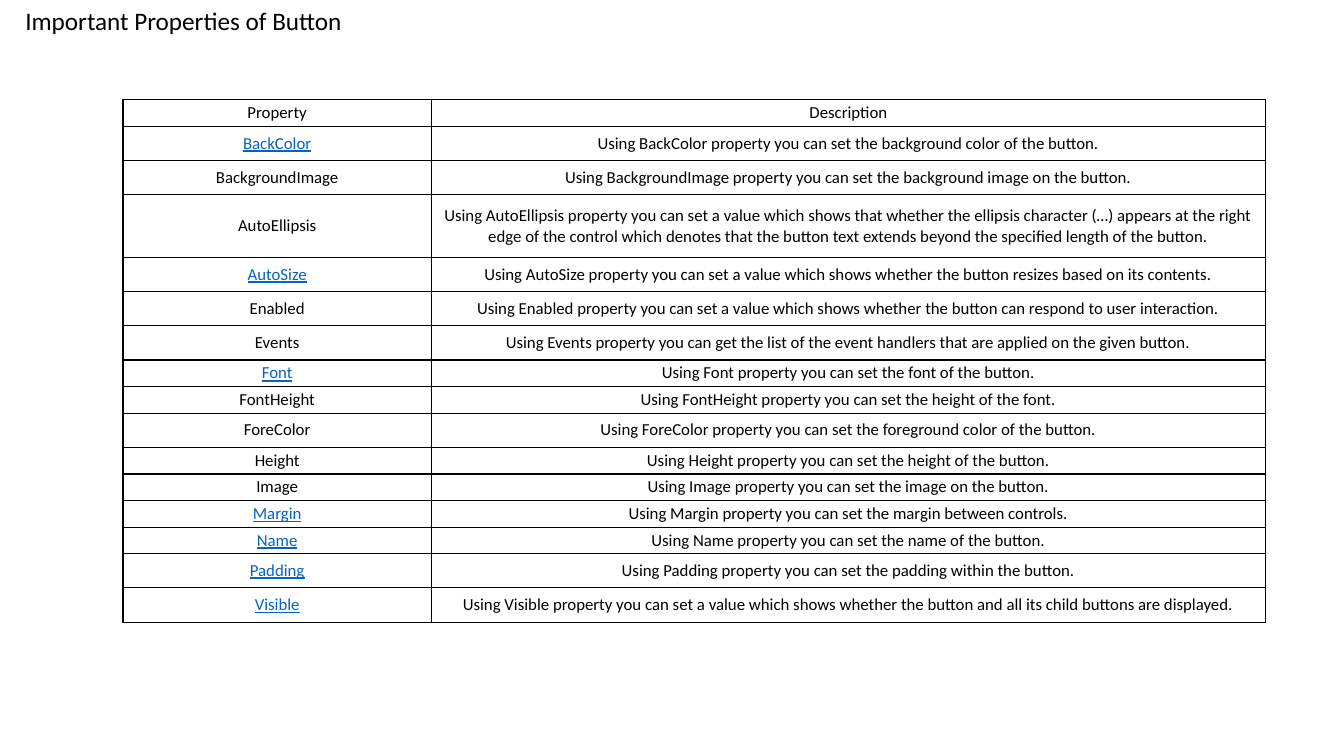
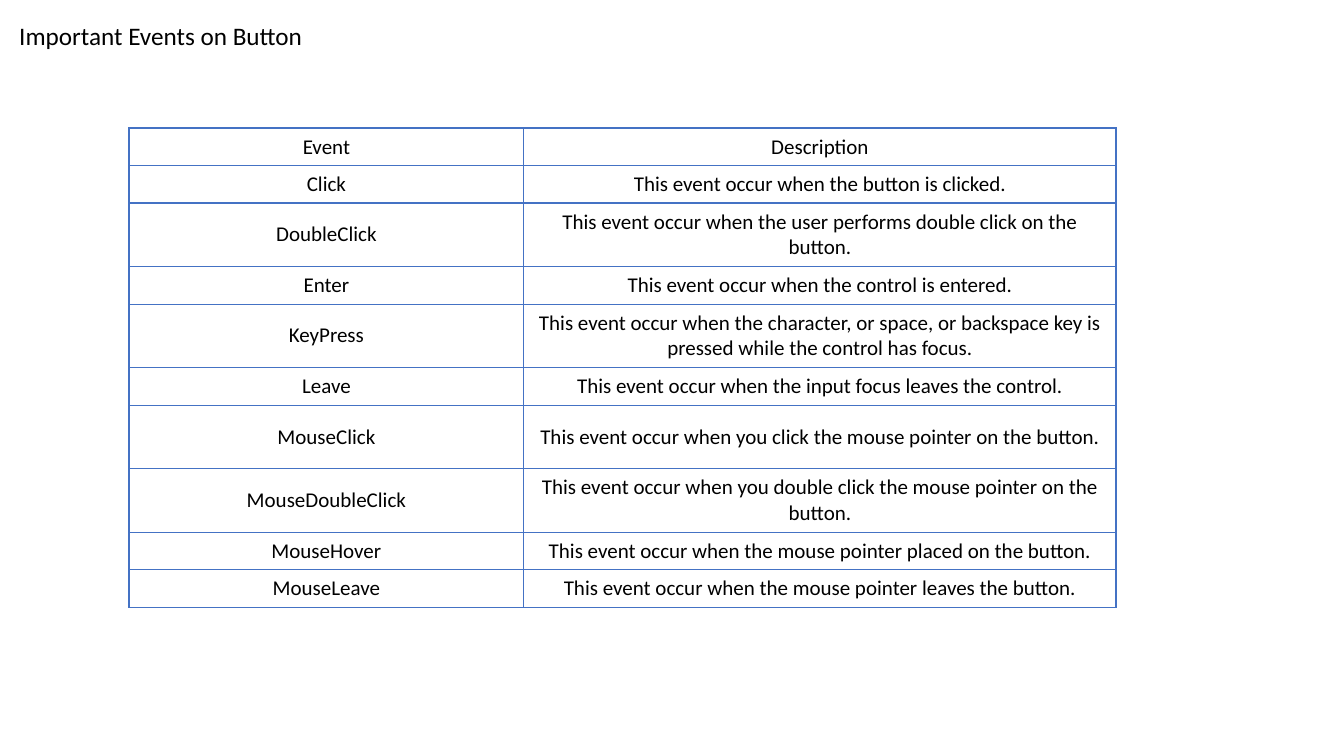
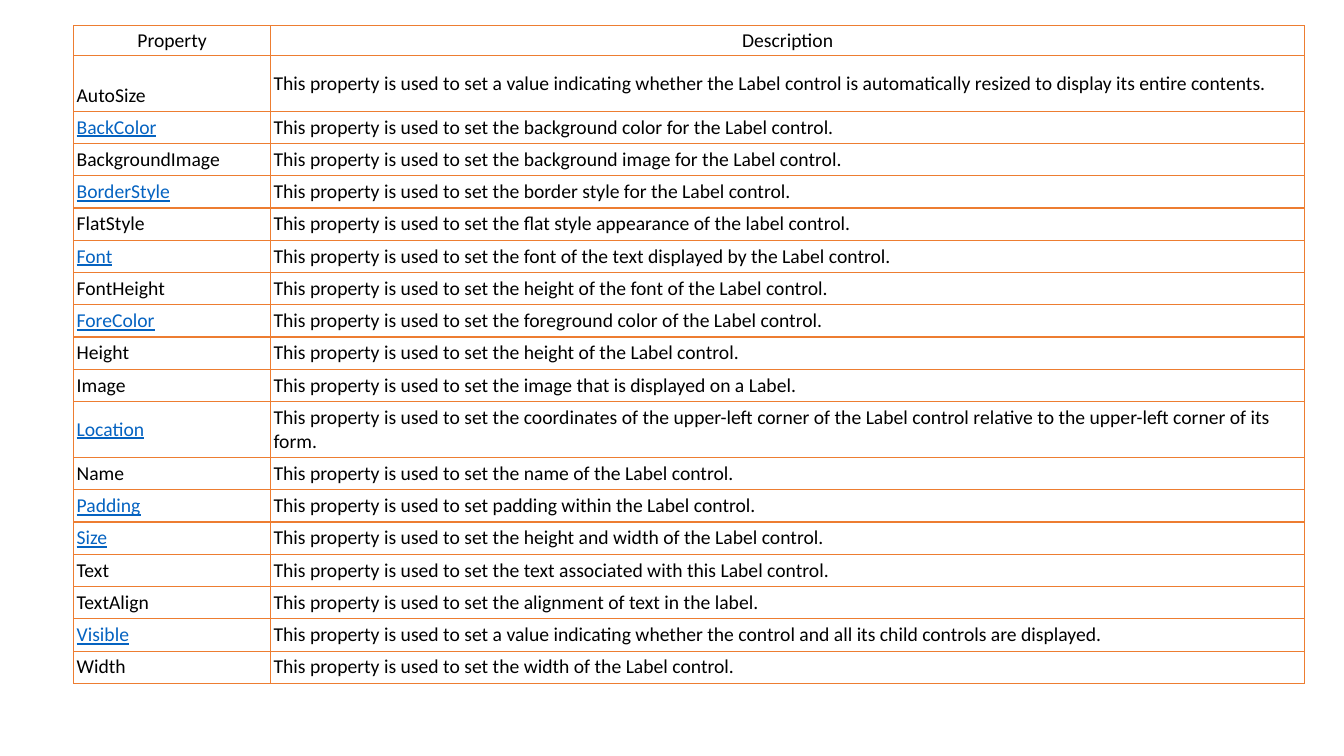
from lxml.etree import SubElement
from pptx import Presentation
from pptx.dml.color import RGBColor
from pptx.enum.text import MSO_ANCHOR, MSO_AUTO_SIZE, PP_ALIGN
from pptx.oxml.ns import qn
from pptx.util import Inches, Pt

# Shared look
WIDE, HIGH = Inches(13.33), Inches(7.5)
FONT = "Calibri"
BLACK = RGBColor(0x00, 0x00, 0x00)
BLUE = RGBColor(0x44, 0x72, 0xC4)
ORANGE = RGBColor(0xED, 0x7D, 0x31)
LINK = RGBColor(0x05, 0x63, 0xC1)

# Button properties: name and the end of its description
BUTTON_LEAD = "Using {} property you can "
BUTTON = [
    ("BackColor", "set the background color of the button."),
    ("BackgroundImage", "set the background image on the button."),
    ("AutoEllipsis", "set a value which shows that whether the ellipsis character (…) "
     "appears at the right edge of the control which denotes that the button text "
     "extends beyond the specified length of the button."),
    ("AutoSize", "set a value which shows whether the button resizes based on its contents."),
    ("Enabled", "set a value which shows whether the button can respond to user interaction."),
    ("Events", "get the list of the event handlers that are applied on the given button."),
    ("Font", "set the font of the button."),
    ("FontHeight", "set the height of the font."),
    ("ForeColor", "set the foreground color of the button."),
    ("Height", "set the height of the button."),
    ("Image", "set the image on the button."),
    ("Margin", "set the margin between controls."),
    ("Name", "set the name of the button."),
    ("Padding", "set the padding within the button."),
    ("Visible", "set a value which shows whether the button and all its child buttons "
     "are displayed."),
]
BUTTON_LINKS = {"BackColor", "AutoSize", "Font", "Margin", "Name", "Padding", "Visible"}

# Button events
EVENT_LEAD = "This event occur when "
EVENTS = [
    ("Click", "the button is clicked."),
    ("DoubleClick", "the user performs double click on the button."),
    ("Enter", "the control is entered."),
    ("KeyPress", "the character, or space, or backspace key is pressed while the "
     "control has focus."),
    ("Leave", "the input focus leaves the control."),
    ("MouseClick", "you click the mouse pointer on the button."),
    ("MouseDoubleClick", "you double click the mouse pointer on the button."),
    ("MouseHover", "the mouse pointer placed on the button."),
    ("MouseLeave", "the mouse pointer leaves the button."),
]

# Label properties
LABEL_LEAD = "This property is used to set "
LABEL = [
    ("AutoSize", "a value indicating whether the Label control is automatically "
     "resized to display its entire contents."),
    ("BackColor", "the background color for the Label control."),
    ("BackgroundImage", "the background image for the Label control."),
    ("BorderStyle", "the border style for the Label control."),
    ("FlatStyle", "the flat style appearance of the label control."),
    ("Font", "the font of the text displayed by the Label control."),
    ("FontHeight", "the height of the font of the Label control."),
    ("ForeColor", "the foreground color of the Label control."),
    ("Height", "the height of the Label control."),
    ("Image", "the image that is displayed on a Label."),
    ("Location", "the coordinates of the upper-left corner of the Label control "
     "relative to the upper-left corner of its form."),
    ("Name", "the name of the Label control."),
    ("Padding", "padding within the Label control."),
    ("Size", "the height and width of the Label control."),
    ("Text", "the text associated with this Label control."),
    ("TextAlign", "the alignment of text in the label."),
    ("Visible", "a value indicating whether the control and all its child controls "
     "are displayed."),
    ("Width", "the width of the Label control."),
]
LABEL_LINKS = {"BackColor", "BorderStyle", "Font", "ForeColor", "Location", "Padding",
               "Size", "Visible"}


def across(share):
    """Percent of the slide's width."""
    return round(WIDE * share / 100)


def down(share):
    """Percent of the slide's height."""
    return round(HIGH * share / 100)


def write(frame, text, size=12, color=BLACK, line=False, align=PP_ALIGN.LEFT):
    para = frame.paragraphs[0]
    para.alignment = align
    run = para.add_run()
    run.text = text
    font = run.font
    font.name, font.size, font.underline = FONT, Pt(size), line
    font.color.rgb = color


def border(cell, color):
    props = cell._tc.get_or_add_tcPr()
    for side in ("a:lnL", "a:lnR", "a:lnT", "a:lnB"):
        edge = SubElement(props, qn(side), w=str(Pt(1)))
        fill = SubElement(edge, qn("a:solidFill"))
        SubElement(fill, qn("a:srgbClr"), val=str(color))


def pad(cell, side, ends):
    cell.margin_left = cell.margin_right = Inches(side)
    cell.margin_top = cell.margin_bottom = Inches(ends)


def head(slide, text, left, top, width):
    """Slide title, as one line in the top left corner."""
    title = slide.shapes.title
    title.left, title.top = across(left), down(top)
    title.width, title.height = across(width), down(5.33)
    frame = title.text_frame
    frame.word_wrap = False
    frame.auto_size = MSO_AUTO_SIZE.SHAPE_TO_FIT_TEXT
    frame.vertical_anchor = MSO_ANCHOR.TOP
    write(frame, text, size=18)


def grid(slide, box, first, names, lead, items, sizes, plan, color, size,
         links=(), pads=((0.02, 0.03), (0.03, 0.03)), body=None,
         align=PP_ALIGN.CENTER):
    """Two-column table; plan names the height in sizes for each row."""
    left, top, width = box
    rows = [names] + [(name, lead.format(name) + end) for name, end in items]
    shape = slide.shapes.add_table(len(rows), 2, across(left), down(top),
                                   across(width), down(sum(sizes[k] for k in plan)))
    table = shape.table
    table.first_row = table.horz_banding = False
    for col, share in zip(table.columns, (first, 1 - first)):
        col.width = across(width * share)
    for r, (row, kind) in enumerate(zip(rows, plan)):
        table.rows[r].height = down(sizes[kind])
        for c, text in enumerate(row):
            cell = table.cell(r, c)
            border(cell, color)
            cell.fill.background()
            cell.vertical_anchor = MSO_ANCHOR.MIDDLE
            pad(cell, *(body if body and r else pads[c]))
            link = c == 0 and text in links
            write(cell.text_frame, text, size=size, color=LINK if link else BLACK,
                  line=link, align=align if r else PP_ALIGN.CENTER)
    return table


def button(deck):
    slide = deck.slides.add_slide(deck.slide_layouts[5])
    head(slide, "Important Properties of Button", 1.13, 0, 25.36)
    grid(slide, (9.15, 13.2, 85), 0.27, ("Property", "Description"), BUTTON_LEAD,
         BUTTON, {"s": 3.52, "m": 4.53, "l": 8.27}, "smmlmmmssmssssmm",
         BLACK, 12, links=BUTTON_LINKS)


def events(deck):
    slide = deck.slides.add_slide(deck.slide_layouts[5])
    head(slide, "Important Events on Button", 0.68, 2, 22.81)
    grid(slide, (9.6, 16.93, 73.44), 0.4, ("Event", "Description"), EVENT_LEAD,
         EVENTS, {"s": 4.97, "l": 8.4}, "sslslsllss", BLUE, 15,
         pads=((0.04, 0.06), (0.06, 0.06)))


def label(deck):
    slide = deck.slides.add_slide(deck.slide_layouts[6])
    table = grid(slide, (5.48, 3.4, 91.6), 0.16, ("Property", "Description"),
                 LABEL_LEAD, LABEL, {"s": 3.9, "m": 4.27, "l": 7.4},
                 "sl" + "m" * 9 + "l" + "m" * 7, ORANGE, 14, links=LABEL_LINKS,
                 body=(0.03, 0.04), align=PP_ALIGN.LEFT)
    table.cell(1, 0).vertical_anchor = MSO_ANCHOR.BOTTOM


def main():
    deck = Presentation()
    deck.slide_width, deck.slide_height = WIDE, HIGH
    for build in (button, events, label):
        build(deck)
    deck.save("out.pptx")


if __name__ == "__main__":
    main()
